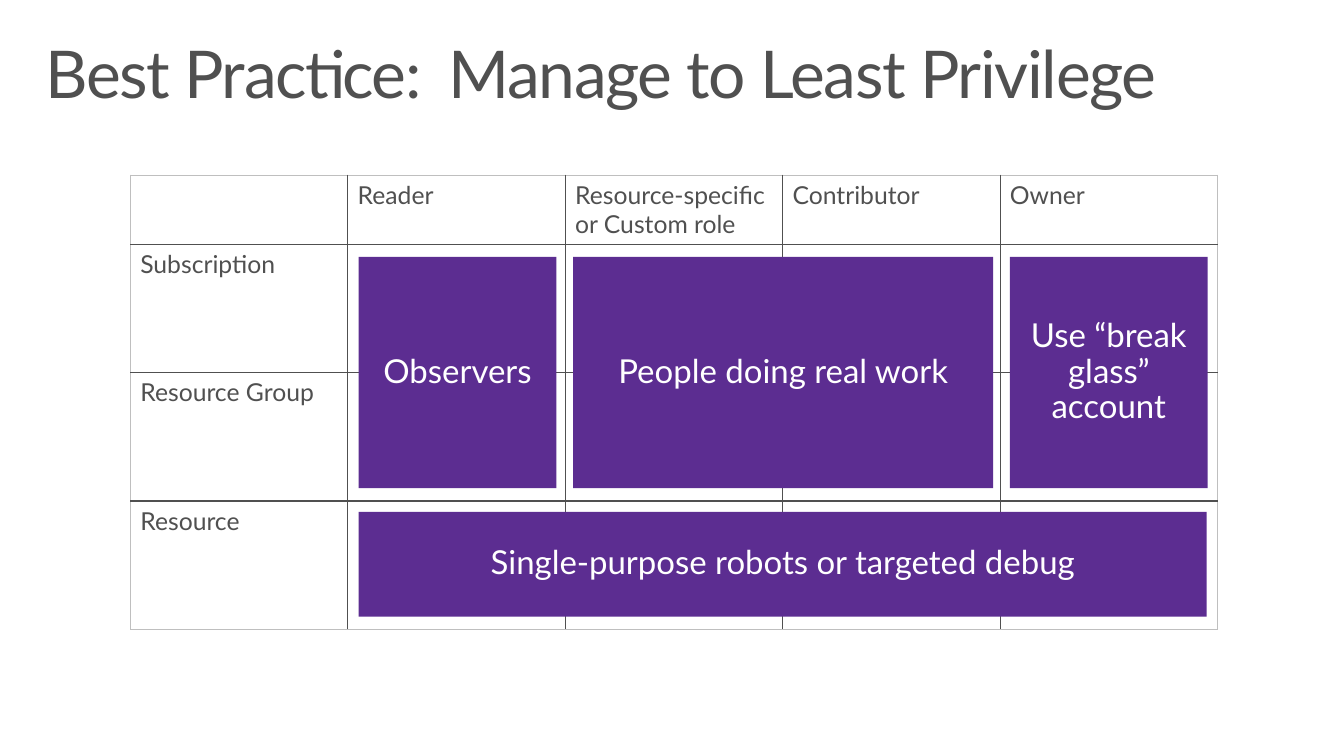
from pptx import Presentation
from pptx.dml.color import RGBColor
from pptx.enum import shapes, text
from pptx.oxml import parse_xml
from pptx.oxml.ns import nsdecls
from pptx.util import Inches, Pt

GREY = RGBColor(0x50, 0x50, 0x50)
PALE_GREY = RGBColor(0xBF, 0xBF, 0xBF)
PURPLE = RGBColor(0x5C, 0x2D, 0x91)
WHITE = RGBColor(0xFF, 0xFF, 0xFF)


def add_span(para, words, size, color):
    span = para.add_run()
    span.text = words
    span.font.name = "Lato"
    span.font.size = Pt(size)
    span.font.color.rgb = color
    return span


def set_frame(frame, side, top, anchor):
    """Set the insets in inches, the anchor and wrapping of a text frame."""
    settings = {
        "margin_left": Inches(side), "margin_right": Inches(side),
        "margin_top": Inches(top), "margin_bottom": Inches(top),
        "vertical_anchor": anchor, "word_wrap": True,
    }
    for name, value in settings.items():
        setattr(frame, name, value)
    frame.paragraphs[0].line_spacing = 0.9
    return frame.paragraphs[0]


deck = Presentation()
deck.slide_width, deck.slide_height = Inches(13.6), Inches(7.65)
page = deck.slides.add_slide(deck.slide_layouts[6])

# Title: tight letters, with a wide gap after the colon
title = page.shapes.add_textbox(Inches(0.3), Inches(0.32), Inches(13), Inches(1))
para = set_frame(title.text_frame, 0.16, 0.1, text.MSO_ANCHOR.TOP)
TITLE_PARTS = [("Best Practice:", -100), (" ", 730), ("Manage to Least Privilege", -100)]
for words, spacing in TITLE_PARTS:
    span = add_span(para, words, 48, GREY)
    span.font._element.set("spc", str(spacing))

# Grid of roles against scopes
ROLES = ["", "Reader", "Resource-specific or Custom role", "Contributor", "Owner"]
SCOPES = ["Subscription", "Resource Group", "Resource"]
rows = [ROLES] + [[scope] + [""] * (len(ROLES) - 1) for scope in SCOPES]
last_row, last_column = len(rows) - 1, len(ROLES) - 1

grid = page.shapes.add_table(
    len(rows), len(ROLES), Inches(1.32), Inches(1.77), Inches(11), Inches(4.6)
).table
grid.first_row = grid.horz_banding = False
for column in grid.columns:
    column.width = Inches(2.2)
for number, row in enumerate(grid.rows):
    row.height = Inches(1.3 if number else 0.7)

for r, labels in enumerate(rows):
    for c, label in enumerate(labels):
        cell = grid.cell(r, c)
        outer_edges = {"L": c == 0, "R": c == last_column, "T": r == 0, "B": r == last_row}
        for side, is_outer in outer_edges.items():
            color, width = (PALE_GREY, Pt(0.5)) if is_outer else (GREY, Pt(1))
            cell._tc.get_or_add_tcPr().append(parse_xml(
                f'<a:ln{side} {nsdecls("a")} w="{width}"><a:solidFill>'
                f'<a:srgbClr val="{color}"/></a:solidFill></a:ln{side}>'
            ))
        cell.fill.background()
        if label:
            add_span(cell.text_frame.paragraphs[0], label, 18, GREY)

# Purple blocks over the grid: words, left, top, width, height
BLOCKS = [
    ("Observers", 3.63, 2.6, 2, 2.34),
    ("Single-purpose robots or targeted debug", 3.63, 5.18, 8.58, 1.06),
    ("People doing real work", 5.8, 2.6, 4.25, 2.34),
    ("Use “break glass” account", 10.22, 2.6, 2, 2.34),
]
for words, *place in BLOCKS:
    block = page.shapes.add_shape(shapes.MSO_SHAPE.RECTANGLE, *map(Inches, place))
    block.shadow.inherit = False
    block.fill.solid()
    block.fill.fore_color.rgb = PURPLE
    block.line.fill.background()
    para = set_frame(block.text_frame, 0.2, 0.16, text.MSO_ANCHOR.MIDDLE)
    para.alignment = text.PP_ALIGN.CENTER
    add_span(para, words, 24, WHITE)

deck.save("out.pptx")
